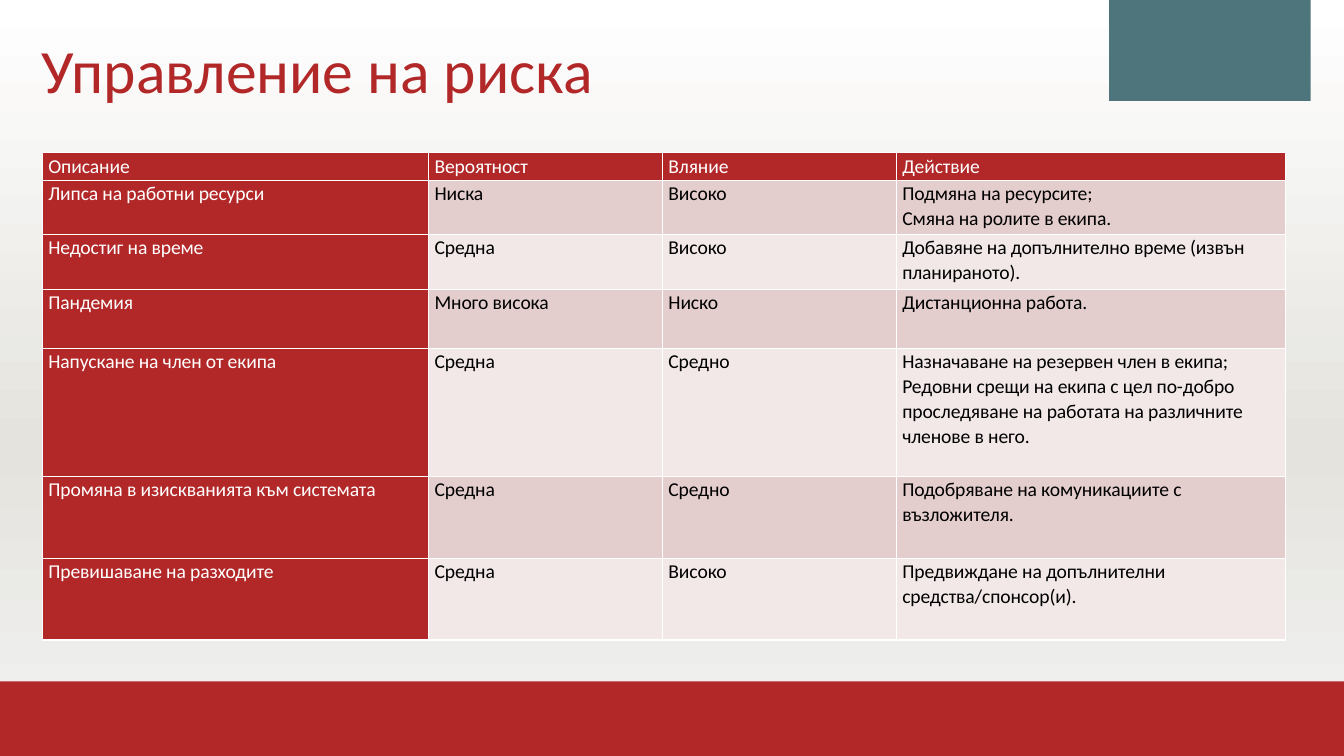
from dataclasses import dataclass

from lxml.etree import SubElement
from pptx import Presentation
from pptx.dml.color import RGBColor
from pptx.enum.shapes import MSO_SHAPE
from pptx.enum.text import MSO_ANCHOR, PP_ALIGN
from pptx.oxml.ns import qn
from pptx.shapes.autoshape import Shape
from pptx.slide import Slide
from pptx.table import _Cell
from pptx.util import Inches, Pt


@dataclass(frozen=True)
class Theme:
    font: str = "Calibri"
    title_size: int = 44
    table_size: int = 14
    red: str = "B22828"
    teal: str = "4F757C"
    white: str = "FFFFFF"
    black: str = "000000"
    bands: tuple[str, str] = ("E4CDCD", "F2E8E8")
    backdrop: tuple[tuple[int, str], ...] = ((0, "FFFFFF"), (59, "E4E3DE"), (100, "F2F2F2"))


@dataclass(frozen=True)
class Risk:
    description: str
    probability: str
    impact: str
    action: str
    height: float


THEME = Theme()
COLUMN_WIDTHS = (3.83, 2.32, 2.32, 3.86)
RISKS = (
    Risk("Описание", "Вероятност", "Вляние", "Действие", 0.28),
    Risk("Липса на работни ресурси", "Ниска", "Високо",
         "Подмяна на ресурсите;\nСмяна на ролите в екипа.", 0.54),
    Risk("Недостиг на време", "Средна", "Високо",
         "Добавяне на допълнително време (извън планираното).", 0.54),
    Risk("Пандемия", "Много висока", "Ниско", "Дистанционна работа.", 0.59),
    Risk("Напускане на член от екипа", "Средна", "Средно",
         "Назначаване на резервен член в екипа;\nРедовни срещи на екипа с цел по-добро "
         "проследяване на работата на различните членове в него.", 1.27),
    Risk("Промяна в изискванията към системата", "Средна", "Средно",
         "Подобряване на комуникациите с възложителя.", 0.81),
    Risk("Превишаване на разходите", "Средна", "Високо",
         "Предвиждане на допълнителни средства/спонсор(и).", 0.81),
)


def rgb(value: str) -> RGBColor:
    return RGBColor.from_string(value)


def paint_backdrop(slide: Slide) -> None:
    fill = slide.background.fill
    fill.gradient()
    fill.gradient_angle = 270
    stops = slide.element.find(f".//{qn('a:gsLst')}")
    for old_stop in list(stops):
        stops.remove(old_stop)
    for percent, color in THEME.backdrop:
        stop = SubElement(stops, qn("a:gs"), pos=str(percent * 1000))
        SubElement(stop, qn("a:srgbClr"), val=color)


def paint_shape(shape: Shape, color: str) -> None:
    shape.shadow.inherit = False
    shape.fill.solid()
    shape.fill.fore_color.rgb = rgb(color)
    shape.line.fill.background()


def draw_decor(slide: Slide) -> None:
    footer_band = slide.shapes.add_shape(
        MSO_SHAPE.RECTANGLE, 0, Inches(6.76), Inches(13.33), Inches(0.9))
    paint_shape(footer_band, THEME.red)

    ribbon = slide.shapes.build_freeform(12.77, 1.33, scale=Inches(1))
    ribbon.add_line_segments([(11.91, 0.95), (11.04, 1.33), (11.04, 0), (12.77, 0)], close=True)
    paint_shape(ribbon.convert_to_shape(), THEME.teal)


def write_title(slide: Slide, text: str) -> None:
    title = slide.shapes.title
    title.left, title.top = Inches(0.31), Inches(0)
    title.width, title.height = Inches(10.68), Inches(1.45)
    frame = title.text_frame
    frame.text = text
    frame.vertical_anchor = MSO_ANCHOR.MIDDLE
    heading = frame.paragraphs[0]
    heading.alignment = PP_ALIGN.LEFT
    heading.line_spacing = 0.9
    heading.font.name = THEME.font
    heading.font.size = Pt(THEME.title_size)
    heading.font.color.rgb = rgb(THEME.red)


def add_borders(cell: _Cell) -> None:
    properties = cell._tc.get_or_add_tcPr()
    for index, side in enumerate(("a:lnL", "a:lnR", "a:lnT", "a:lnB")):
        border = properties.makeelement(qn(side), {"w": str(Pt(1))})
        properties.insert(index, border)  # borders precede the fill
        solid = SubElement(border, qn("a:solidFill"))
        SubElement(solid, qn("a:srgbClr"), val=THEME.white)


def write_cell(cell: _Cell, text: str, fill: str, color: str, is_header: bool) -> None:
    cell.fill.solid()
    cell.fill.fore_color.rgb = rgb(fill)
    cell.margin_left = cell.margin_right = Inches(0.06)
    cell.margin_top = cell.margin_bottom = 0
    cell.vertical_anchor = MSO_ANCHOR.MIDDLE if is_header else MSO_ANCHOR.TOP
    add_borders(cell)
    cell.text_frame.text = text
    for paragraph in cell.text_frame.paragraphs:
        paragraph.alignment = PP_ALIGN.JUSTIFY if is_header else PP_ALIGN.LEFT
        paragraph.line_spacing = 1.05
        for run in paragraph.runs:
            run.font.name = THEME.font
            run.font.size = Pt(THEME.table_size)
            run.font.color.rgb = rgb(color)
            run.font._element.set("spc", "-10")


def draw_risk_table(slide: Slide) -> None:
    risk_table = slide.shapes.add_table(
        len(RISKS), len(COLUMN_WIDTHS), Inches(0.42), Inches(1.51),
        Inches(sum(COLUMN_WIDTHS)), Inches(sum(risk.height for risk in RISKS))).table
    for column, width in zip(risk_table.columns, COLUMN_WIDTHS):
        column.width = Inches(width)
    risk_table.first_col = True
    for row, risk in enumerate(RISKS):
        risk_table.rows[row].height = Inches(risk.height)
        texts = (risk.description, risk.probability, risk.impact, risk.action)
        for column, text in enumerate(texts):
            is_heading = row == 0 or column == 0
            fill = THEME.red if is_heading else THEME.bands[(row - 1) % 2]
            color = THEME.white if is_heading else THEME.black
            write_cell(risk_table.cell(row, column), text, fill, color, row == 0)


def main() -> None:
    deck = Presentation()
    deck.slide_width, deck.slide_height = Inches(13.33), Inches(7.5)
    slide = deck.slides.add_slide(deck.slide_layouts[5])  # title only
    paint_backdrop(slide)
    draw_decor(slide)
    draw_risk_table(slide)
    write_title(slide, "Управление на риска")
    deck.save("out.pptx")


if __name__ == "__main__":
    main()
